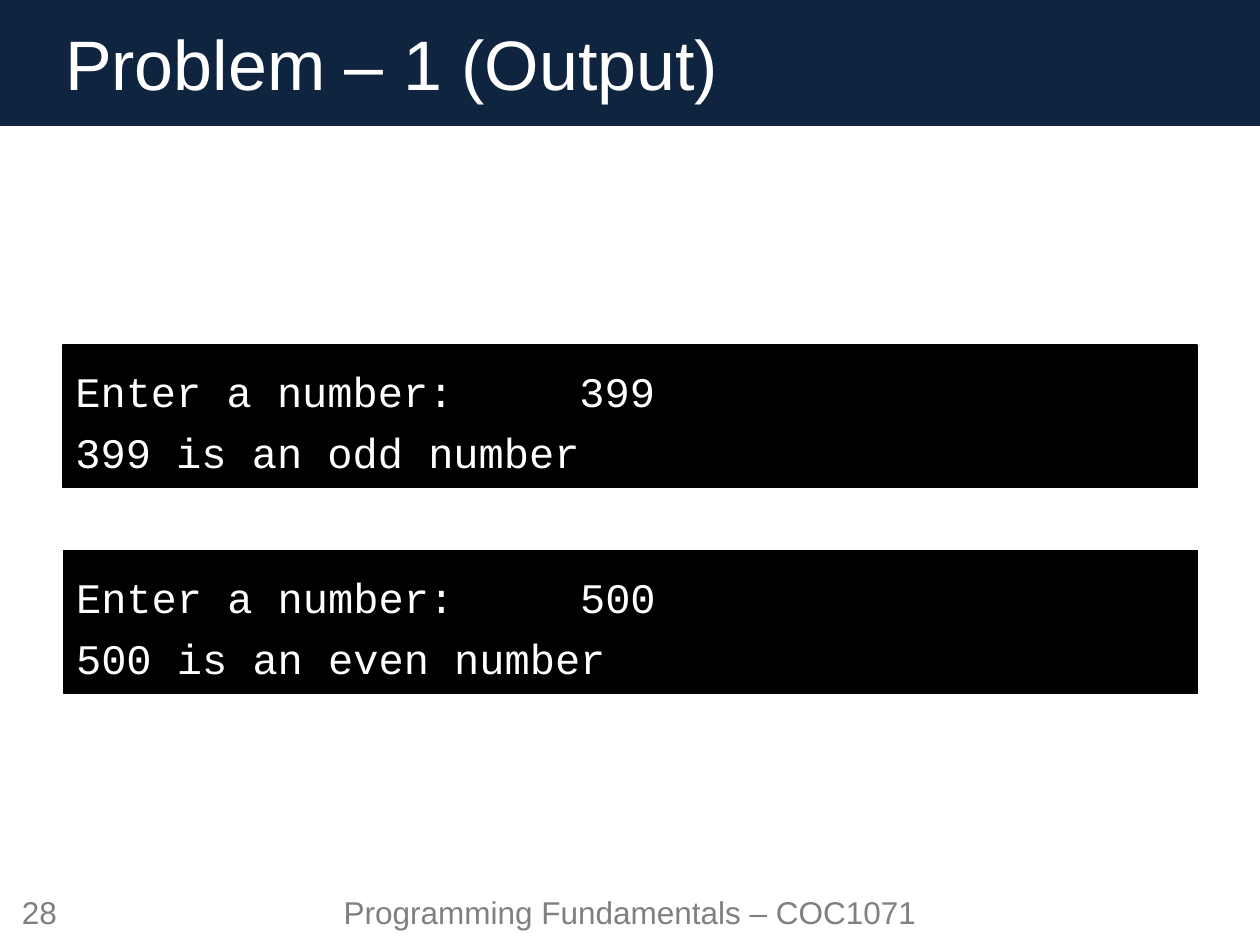
from pptx import Presentation
from pptx.dml.color import RGBColor
from pptx.enum.shapes import MSO_SHAPE
from pptx.enum.text import MSO_ANCHOR, MSO_AUTO_SIZE, PP_ALIGN
from pptx.oxml.ns import qn
from pptx.util import Pt
from lxml import etree

RECTANGLE = MSO_SHAPE.RECTANGLE
MIDDLE = MSO_ANCHOR.MIDDLE
NO_AUTOFIT = MSO_AUTO_SIZE.NONE
LEFT, CENTER = PP_ALIGN.LEFT, PP_ALIGN.CENTER

NAVY = RGBColor(0x0F, 0x24, 0x3E)
BLACK = RGBColor(0x00, 0x00, 0x00)
WHITE = RGBColor(0xFF, 0xFF, 0xFF)
GRAY = RGBColor(0x80, 0x80, 0x80)

TITLE_FONT = {"name": "Arial", "size": Pt(40)}
FOOTER_FONT = {"name": "Arial", "size": Pt(18)}
CONSOLE_FONT = {"name": "Courier New", "size": Pt(24)}

PAGE_WIDTH, PAGE_HEIGHT = 720, 540
LINE_GAP = 6
INPUT_TAB = 288
TITLE_ONLY = 5


def format_text(para, font_values, color, alignment):
    para.alignment = alignment
    for name, value in font_values.items():
        setattr(para.font, name, value)
    para.font.color.rgb = color


def set_frame(frame):
    frame.word_wrap = True
    frame.auto_size = NO_AUTOFIT
    frame.vertical_anchor = MIDDLE


def add_block(page, box, color):
    block = page.shapes.add_shape(RECTANGLE, *map(Pt, box))
    block.shadow.inherit = False
    block.fill.solid()
    block.fill.fore_color.rgb = color
    block.line.fill.background()
    return block


def add_tab_stop(para, position):
    tabs = etree.SubElement(para._p.get_or_add_pPr(), qn("a:tabLst"))
    etree.SubElement(tabs, qn("a:tab"), pos=str(Pt(position)), algn="l")


def add_title_banner(page, box, text):
    left, top, width, height = box
    inset = 30
    title = page.shapes.title
    banner = add_block(page, box, NAVY)
    title.element.addprevious(banner.element)
    title.left, title.top = Pt(left + inset), Pt(top)
    title.width, title.height = Pt(width - 2 * inset), Pt(height)
    title.text = text
    set_frame(title.text_frame)
    format_text(title.text_frame.paragraphs[0], TITLE_FONT, WHITE, LEFT)


def add_console(page, box, lines):
    console = add_block(page, box, BLACK)
    console.line.color.rgb = BLACK
    console.line.width = Pt(0.75)
    frame = console.text_frame
    set_frame(frame)
    frame.margin_top = Pt(3.6 + LINE_GAP)
    frame.text = "\n".join(lines)
    for index, para in enumerate(frame.paragraphs):
        if index:
            para.space_before = Pt(LINE_GAP)
        add_tab_stop(para, INPUT_TAB)
        format_text(para, CONSOLE_FONT, WHITE, LEFT)


def add_footer_text(page, box, text):
    footer = page.shapes.add_textbox(*map(Pt, box))
    set_frame(footer.text_frame)
    footer.text_frame.text = text
    format_text(footer.text_frame.paragraphs[0], FOOTER_FONT, GRAY, CENTER)


def build_output_slide(deck):
    page = deck.slides.add_slide(deck.slide_layouts[TITLE_ONLY])
    add_title_banner(page, (0, 0, PAGE_WIDTH, 72), "Problem – 1 (Output)")

    runs = ((399, "odd"), (500, "even"))
    for index, (number, parity) in enumerate(runs):
        box = (36 + 0.4 * index, 197.2 + 117.5 * index, 648, 81.4)
        add_console(page, box, (f"Enter a number:\t{number}",
                                f"{number} is an {parity} number"))

    add_footer_text(page, (162, 504, 396, 34), "Programming Fundamentals – COC1071")
    add_footer_text(page, (0, 504, 45, 34), "28")


def main():
    deck = Presentation()
    deck.slide_width, deck.slide_height = Pt(PAGE_WIDTH), Pt(PAGE_HEIGHT)
    build_output_slide(deck)
    deck.save("out.pptx")


if __name__ == "__main__":
    main()
